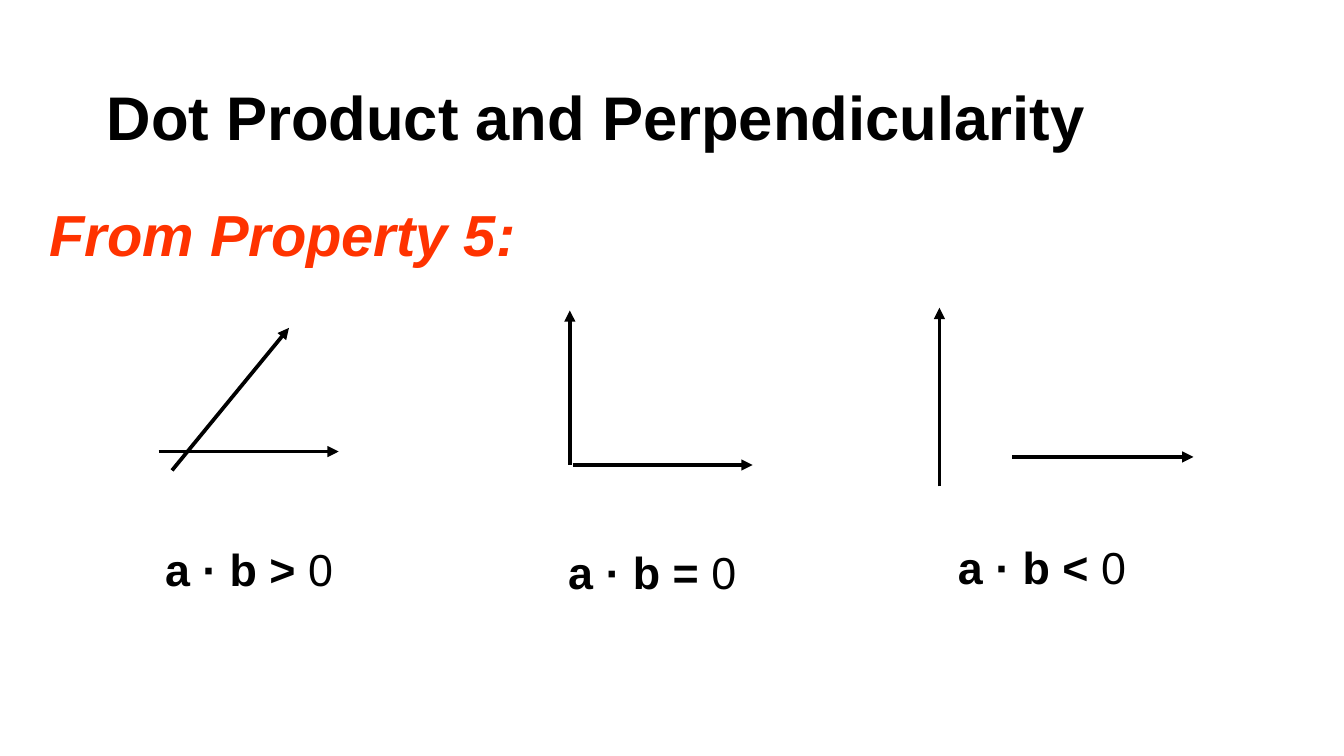
from lxml.etree import SubElement
from pptx import Presentation
from pptx.dml.color import RGBColor
from pptx.enum.shapes import MSO_CONNECTOR as Link
from pptx.enum.text import MSO_ANCHOR as Anchor, PP_ALIGN as Align
from pptx.oxml.ns import qn
from pptx.util import Inches, Pt

COLORS = {"ink": "000000", "accent": "FF3300", "paper": "FFFFFF"}
FONT = "Arial"
WIDTH = 10


def add_text(slide, box, parts, size, color="ink", italic=False):
    frame = slide.shapes.add_textbox(*map(Inches, box)).text_frame
    frame.word_wrap = True
    para = frame.paragraphs[0]
    for text, bold in parts:
        run = para.add_run()
        run.text = text
        font = run.font
        font.name, font.size = FONT, Pt(size)
        font.bold, font.italic = bold, italic
        font.color.rgb = RGBColor.from_string(COLORS[color])
    return frame


def add_arrow(slide, start, end):
    line = slide.shapes.add_connector(Link.STRAIGHT, *map(Inches, start + end))
    line.line.width = Pt(2)
    line.line.color.rgb = RGBColor.from_string(COLORS["ink"])
    props = line._element.spPr
    SubElement(props.get_or_add_ln(), qn("a:tailEnd"), type="triangle")
    SubElement(props, qn("a:effectLst"))


def add_title(slide, box):
    frame = add_text(slide, box, [("Dot Product and Perpendicularity", True)], 33)
    frame.vertical_anchor = Anchor.BOTTOM
    para = frame.paragraphs[0]
    para.alignment = Align.CENTER
    para.line_spacing = 1.04


def add_body(slide, box):
    frame = add_text(slide, box, [("From Property 5:", True)], 31, "accent", True)
    frame.paragraphs[0].line_spacing = 1.1


def add_case(slide, box, sign, arrows):
    left, top, width, height = box
    for x1, y1, x2, y2 in arrows:
        add_arrow(slide, (left + x1, top + y1), (left + x2, top + y2))
    label = (left, top + height - 0.38, width, 0.38)
    add_text(slide, label, [(f"a · b {sign} ", True), ("0", False)], 24)


def main():
    deck = Presentation()
    deck.slide_width, deck.slide_height = Inches(WIDTH), Inches(WIDTH * 9 / 16)
    slide = deck.slides.add_slide(deck.slide_layouts[6])
    fill = slide.background.fill
    fill.solid()
    fill.fore_color.rgb = RGBColor.from_string(COLORS["paper"])

    add_title(slide, (0.28, 0.25, 8.31, 0.94))
    add_body(slide, (0.27, 1.38, 9.43, 4))
    cases = [
        (1.13, 2.28, ">", [(0.15, 1.22, 1.02, 0.16), (0.05, 1.08, 1.39, 1.08)]),
        (4.13, 2.3, "=", [(0.11, 1.16, 0.11, 0.01), (0.13, 1.16, 1.47, 1.16)]),
        (7.03, 2.27, "<", [(-0.04, 1.35, -0.04, 0.02), (0.5, 1.13, 1.85, 1.13)]),
    ]
    for left, top, sign, arrows in cases:
        add_case(slide, (left, top, 1.8, 2.08), sign, arrows)
    deck.save("out.pptx")


if __name__ == "__main__":
    main()
